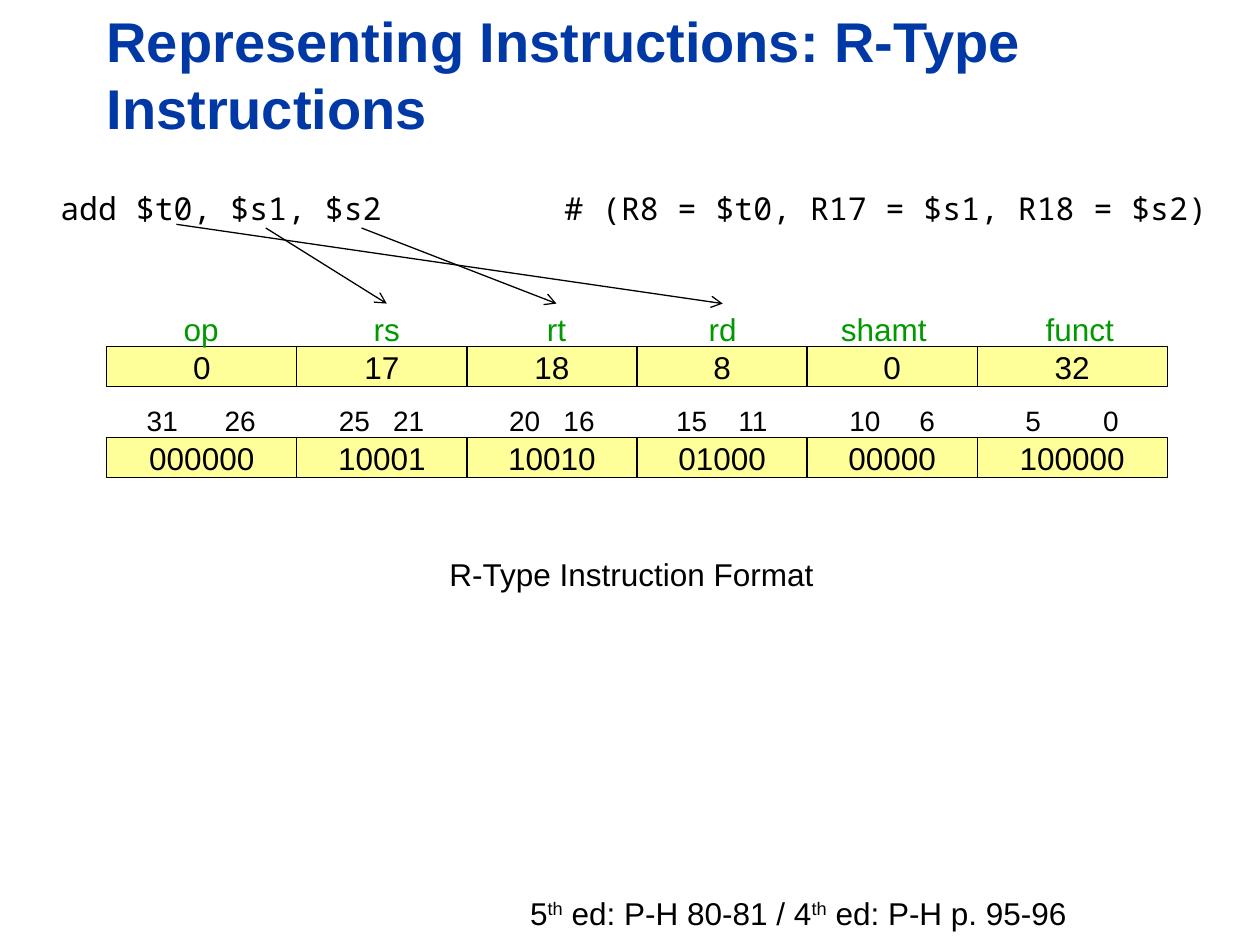
from lxml import etree
from pptx import Presentation
from pptx.dml.color import RGBColor
from pptx.enum.shapes import MSO_CONNECTOR, MSO_SHAPE
from pptx.enum.text import MSO_ANCHOR, MSO_AUTO_SIZE, PP_ALIGN
from pptx.oxml.ns import qn
from pptx.util import Pt

LEFT, CENTER = PP_ALIGN.LEFT, PP_ALIGN.CENTER
MIDDLE, BOTTOM = MSO_ANCHOR.MIDDLE, MSO_ANCHOR.BOTTOM
NO_AUTOFIT = MSO_AUTO_SIZE.NONE
RECTANGLE, STRAIGHT = MSO_SHAPE.RECTANGLE, MSO_CONNECTOR.STRAIGHT

COLORS = {"title": "0039A6", "text": "000000", "label": "009900", "cell": "FFFF99"}
SANS, MONO = "Arial", "Noto Sans Mono"

FIELDS_LEFT = 61
FIELD_WIDTHS = [108.6, 97.2, 97.2, 97.2, 97.2, 108.6]
DECIMAL_VALUES = ["0", "17", "18", "8", "0", "32"]
BINARY_VALUES = ["000000", "10001", "10010", "01000", "00000", "100000"]
# Name and centre of each field label
LABELS = {"op": 115, "rs": 221, "rt": 318, "rd": 413, "shamt": 505, "funct": 617}
# High bit, low bit, left edge of the text, distance from high to low bit
BIT_RANGES = [
    ("31", "26", 84, 44.5),
    ("25", "21", 193.7, 31.1),
    ("20", "16", 291, 31.1),
    ("15", "11", 386.5, 35.6),
    ("10", "6", 485.4, 40),
    ("5", "0", 586, 44.5),
]
# Start of each arrow and the label it points to
ARROWS = [(100.8, 128.2, "rd"), (151.9, 130.3, "rs"), (206.6, 130.3, "rt")]
ARROW_END = 173.5


def color(name):
    return RGBColor.from_string(COLORS[name])


def format_font(font, size, color_name="text", name=SANS):
    font.name = name
    font.size = Pt(size)
    font.color.rgb = color(color_name)


def add_tab_stops(para, stops):
    tab_list = etree.SubElement(para._p.get_or_add_pPr(), qn("a:tabLst"))
    for stop in stops:
        etree.SubElement(tab_list, qn("a:tab"), pos=str(Pt(stop)), algn="l")


def add_title(page, text):
    title = page.shapes.title
    title.left, title.top, title.width, title.height = Pt(53.7), Pt(0), Pt(650), Pt(84.2)
    frame = title.text_frame
    frame.text = text
    frame.word_wrap = True
    frame.auto_size = NO_AUTOFIT
    frame.vertical_anchor = BOTTOM
    para = frame.paragraphs[0]
    para.alignment = LEFT
    format_font(para.font, 32, "title")
    para.font.bold = True


def add_text(page, text, left, top, width, height, size=18, color_name="text",
             font_name=SANS, align=CENTER, tab_stops=(), wrap=False):
    box = page.shapes.add_textbox(Pt(left), Pt(top), Pt(width), Pt(height))
    frame = box.text_frame
    frame.word_wrap = wrap
    frame.vertical_anchor = MIDDLE
    para = frame.paragraphs[0]
    para.text = text
    para.alignment = align
    if tab_stops:
        add_tab_stops(para, tab_stops)
    format_font(para.font, size, color_name, font_name)
    return para


def add_cell(page, text, left, top, width):
    cell = page.shapes.add_shape(RECTANGLE, Pt(left), Pt(top), Pt(width), Pt(22.9))
    cell.shadow.inherit = False
    cell.fill.solid()
    cell.fill.fore_color.rgb = color("cell")
    cell.line.color.rgb = color("text")
    cell.line.width = Pt(0.75)
    frame = cell.text_frame
    frame.word_wrap = False
    frame.vertical_anchor = MIDDLE
    para = frame.paragraphs[0]
    para.text = text
    para.alignment = CENTER
    format_font(para.font, 18)


def add_field_row(page, values, top):
    left = FIELDS_LEFT
    for value, width in zip(values, FIELD_WIDTHS):
        add_cell(page, value, left, top, width)
        left += width


def add_arrow(page, start_x, start_y, end_x, end_y):
    arrow = page.shapes.add_connector(STRAIGHT, Pt(start_x), Pt(start_y), Pt(end_x), Pt(end_y))
    arrow.line.color.rgb = color("text")
    arrow.line.width = Pt(0.75)
    etree.SubElement(arrow.line._get_or_add_ln(), qn("a:tailEnd"), type="arrow")
    etree.SubElement(arrow._element.spPr, qn("a:effectLst"))


def add_reference(page):
    para = add_text(page, "", 295.9, 507.2, 321, 28.8, align=LEFT)
    for text in ["5", "th", " ed: P-H 80-81 / 4", "th", " ed: P-H p. 95-96"]:
        span = para.add_run()
        span.text = text
        if text == "th":
            span._r.get_or_add_rPr().set("baseline", "30000")


def main():
    deck = Presentation()
    deck.slide_width, deck.slide_height = Pt(720), Pt(540)
    title_only = deck.slide_layouts[5]
    page = deck.slides.add_slide(title_only)

    add_title(page, "Representing Instructions: R-Type Instructions")
    add_text(page, "add $t0, $s1, $s2\t\t# (R8 = $t0, R17 = $s1, R18 = $s2)",
             27.4, 105.8, 690, 25.9, font_name=MONO, align=LEFT,
             tab_stops=(216, 288), wrap=True)

    add_field_row(page, BINARY_VALUES, 250)
    for high, low, left, distance in BIT_RANGES:
        add_text(page, f"{high}\t{low}", left - 7.2, 226.8, distance + 32.2, 26.6,
                 size=16, align=LEFT, tab_stops=(distance,))

    add_field_row(page, DECIMAL_VALUES, 198)
    for label, center in LABELS.items():
        add_text(page, label, center - 32, 173.5, 64, 28.8, color_name="label")
    add_text(page, "R-Type Instruction Format", 249.3, 313.6, 223.2, 28.8)

    for start_x, start_y, label in ARROWS:
        add_arrow(page, start_x, start_y, LABELS[label], ARROW_END)
    add_reference(page)

    deck.save("out.pptx")


if __name__ == "__main__":
    main()
